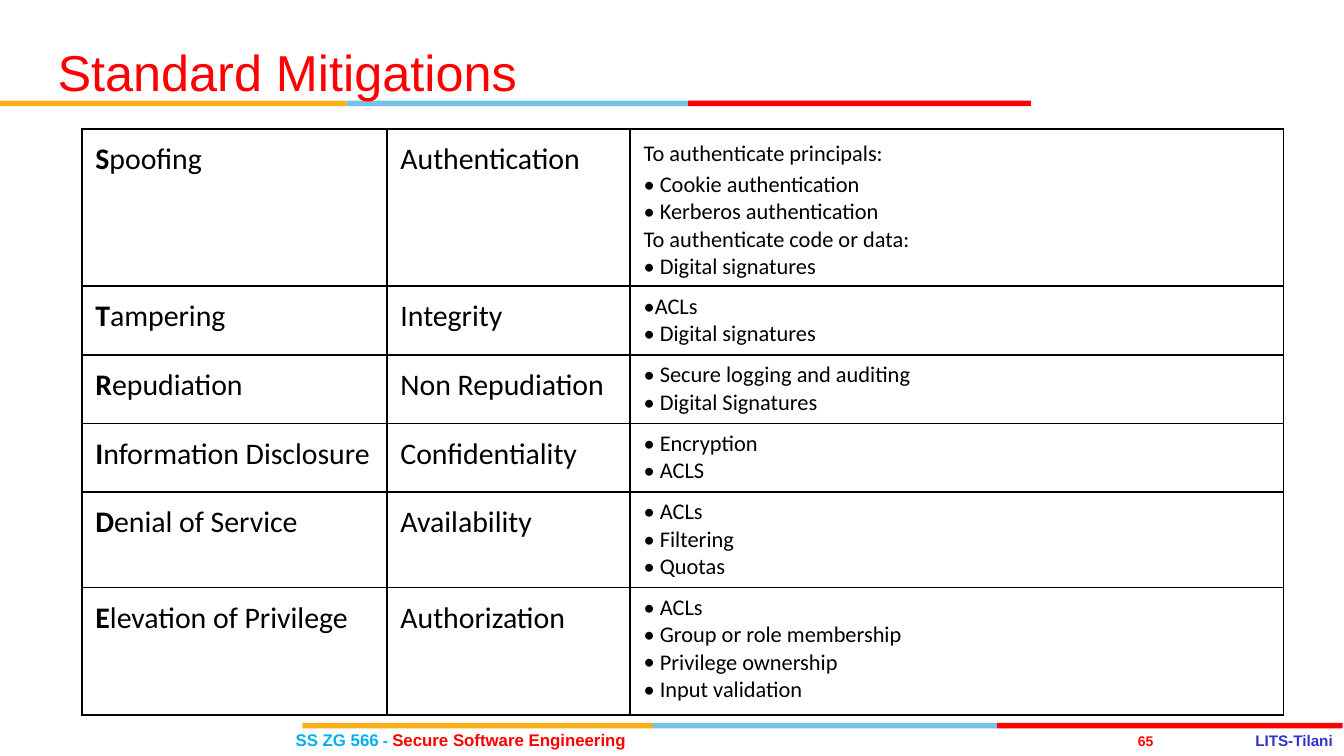
from pptx import Presentation
from pptx import util as u
from pptx.dml.color import RGBColor
from pptx.enum import shapes, text
from pptx.oxml import parse_xml
from pptx.oxml.ns import nsdecls

W = 10
H = W * 9 / 16
COLORS = {"red": "FF0000", "amber": "FCB017", "sky": "76C2E5", "cyan": "00B0F0",
          "blue": "3333CC", "black": "000000"}
ALIGN = text.PP_ALIGN
COLS = [2.27, 1.81, 4.86]
ROWS = [1.13, 0.49, 0.49, 0.49, 0.68, 0.95]
THREATS = [
    ("Spoofing", "Authentication",
     ["To authenticate principals:", "• Cookie authentication", "• Kerberos authentication",
      "To authenticate code or data:", "• Digital signatures"]),
    ("Tampering", "Integrity", ["•ACLs", "• Digital signatures"]),
    ("Repudiation", "Non Repudiation",
     ["•\u00a0Secure logging and auditing", "• Digital Signatures"]),
    ("Information Disclosure", "Confidentiality", ["• Encryption", "• ACLS"]),
    ("Denial of Service", "Availability", ["• ACLs", "• Filtering", "• Quotas"]),
    ("Elevation of Privilege", "Authorization",
     ["• ACLs", "• Group or role membership", "• Privilege ownership", "• Input validation"]),
]


def add_run(p, words, size=12, color="black", font="Calibri", bold=False):
    r = p.add_run()
    r.text = words
    r.font.size = u.Pt(size)
    r.font.name = font
    r.font.bold = bold
    r.font.color.rgb = RGBColor.from_string(COLORS[color])


def add_text(s, box, runs, align=ALIGN.LEFT, inset=(0, 0), spacing=None):
    tf = s.shapes.add_textbox(*map(u.Inches, box)).text_frame
    tf.word_wrap = True
    tf.vertical_anchor = text.MSO_ANCHOR.MIDDLE
    tf.margin_left = tf.margin_right = u.Inches(inset[0])
    tf.margin_top = tf.margin_bottom = u.Inches(inset[1])
    p = tf.paragraphs[0]
    p.alignment = align
    if spacing:
        p.line_spacing = u.Pt(spacing)
    for words, size, color, bold in runs:
        add_run(p, words, size, color, "Arial", bold)


def add_stripe(s, left, top, parts):
    for color, width in zip(("amber", "sky", "red"), parts):
        sp = s.shapes.add_shape(shapes.MSO_SHAPE.RECTANGLE, u.Inches(left),
                                u.Inches(top), u.Inches(width), u.Inches(0.04))
        sp.shadow.inherit = False
        sp.fill.solid()
        sp.fill.fore_color.rgb = RGBColor.from_string(COLORS[color])
        sp.line.fill.background()
        left += width


def add_borders(cell):
    tcPr = cell._tc.get_or_add_tcPr()
    for i, side in enumerate(("lnL", "lnR", "lnT", "lnB")):
        tcPr.insert(i, parse_xml(
            f'<a:{side} {nsdecls("a")} w="12700"><a:solidFill>'
            f'<a:srgbClr val="{COLORS["black"]}"/></a:solidFill></a:{side}>'))


def fill_term(cell, term, lead):
    p = cell.text_frame.paragraphs[0]
    p.line_spacing = 1.15
    p.space_before = u.Pt(10)
    if lead:
        add_run(p, term[:lead], 16, bold=True)
    add_run(p, term[lead:], 16)


def fill_list(cell, lines):
    tf = cell.text_frame
    for i, line in enumerate(lines):
        p = tf.paragraphs[0] if i == 0 else tf.add_paragraph()
        if lines[0][0] != "•" and i < 2:
            p.line_spacing = 1.15
            p.space_before = u.Pt(10 if i == 0 else 0)
        if line[0] == "•":
            pPr = p._p.get_or_add_pPr()
            pPr.set("marL", "0")
            pPr.set("indent", "0")
            pPr.append(parse_xml(f'<a:buFont {nsdecls("a")} typeface="Calibri"/>'))
            pPr.append(parse_xml(f'<a:buChar {nsdecls("a")} char="•"/>'))
        add_run(p, line.lstrip("•"))


def add_threats(s, left, top):
    frame = s.shapes.add_table(len(ROWS), len(COLS), u.Inches(left), u.Inches(top),
                               u.Inches(sum(COLS)), u.Inches(sum(ROWS)))
    table = frame.table
    table.first_row = table.horz_banding = False
    for col, width in zip(table.columns, COLS):
        col.width = u.Inches(width)
    for row, height, (threat, goal, remedies) in zip(table.rows, ROWS, THREATS):
        row.height = u.Inches(height)
        for cell in row.cells:
            cell.margin_bottom = u.Inches(0.06)
            cell.fill.background()
            add_borders(cell)
        fill_term(row.cells[0], threat, 1)
        fill_term(row.cells[1], goal, 0)
        fill_list(row.cells[2], remedies)


def add_header(s, top):
    add_stripe(s, 0, top + 0.58, (2.58, 2.54, 2.55))
    add_text(s, (0.33, top, 6.92, 0.79), [("Standard Mitigations", 27, "red", False)],
             inset=(0.1, 0.05), spacing=27)


def add_footer(s, top):
    add_stripe(s, 2.25, top, (2.61, 2.56, 2.57))
    add_text(s, (2.2, top + 0.05, 2.76, 0.15),
             [("SS ZG 566", 9, "cyan", True), (" - ", 8.2, "cyan", True),
              ("Secure Software Engineering", 9, "red", True)])
    add_text(s, (8.4, top + 0.07, 0.25, 0.13), [("65", 7.5, "red", True)], ALIGN.CENTER)
    add_text(s, (9.34, top + 0.06, 0.64, 0.14), [("LITS-Tilani", 8.2, "blue", True)],
             ALIGN.JUSTIFY)


prs = Presentation()
prs.slide_width, prs.slide_height = u.Inches(W), u.Inches(H)
s = prs.slides.add_slide(prs.slide_layouts[6])
add_header(s, 0.17)
add_footer(s, 5.38)
add_threats(s, 0.61, 0.96)
prs.save("out.pptx")
